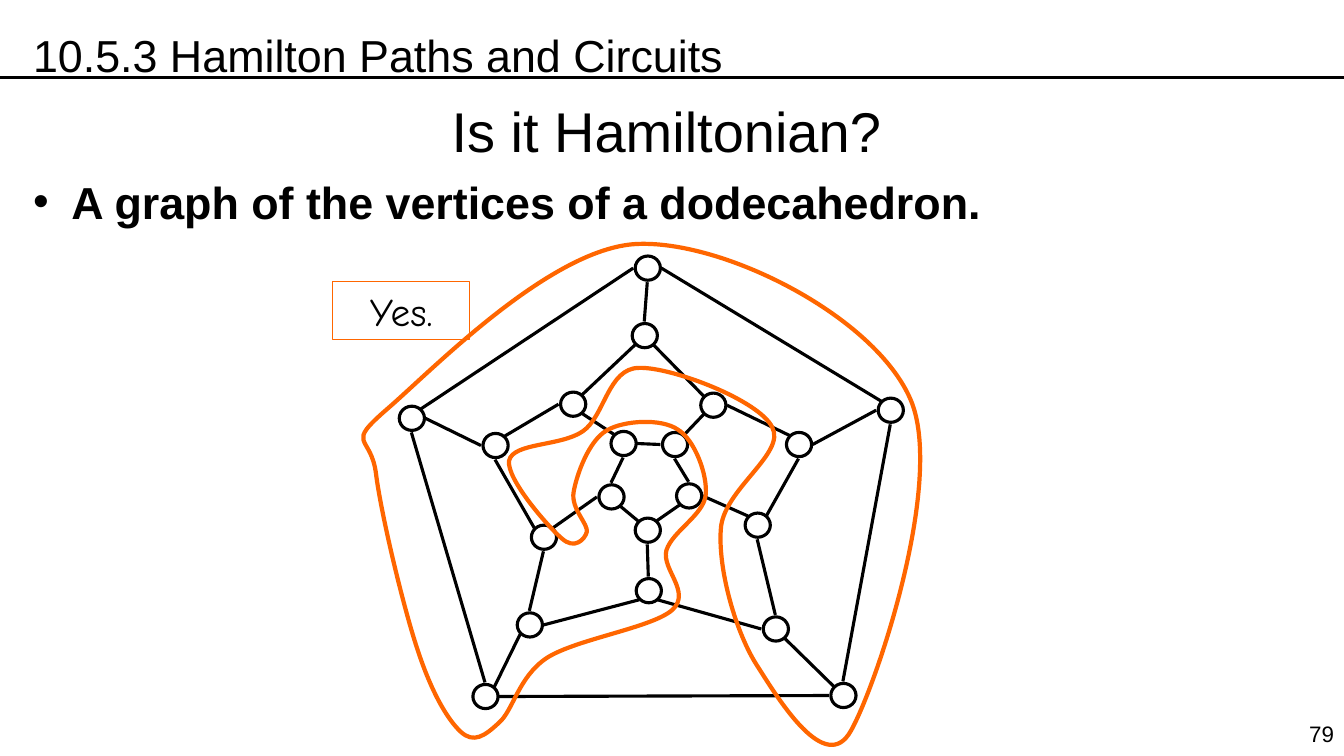
"""Builds the slide on Hamilton circuits of the dodecahedron graph."""
from dataclasses import dataclass

from lxml.etree import SubElement
from pptx import Presentation
from pptx.dml.color import RGBColor as Rgb
from pptx.enum.shapes import MSO_CONNECTOR as Connector, MSO_SHAPE as Preset
from pptx.enum.text import MSO_ANCHOR as Anchor, MSO_AUTO_SIZE as AutoSize, PP_ALIGN as Align
from pptx.oxml.ns import qn
from pptx.util import Emu, Pt

PX = 9144


@dataclass(frozen=True)
class Theme:
    """Colours, fonts, type sizes and line widths of the slide."""
    ink: Rgb = Rgb(0, 0, 0)
    accent: Rgb = Rgb(0xFF, 0x66, 0x00)
    font: str = "Arial"
    hand: str = "Comic Neue"
    title: int = 40
    body: int = 32
    answer: int = 28
    number: int = 16
    edge: float = 2.25
    circuit: float = 3
    frame: float = 1


THEME = Theme()

VERTICES = {
    "top": (400, 26), "left": (166, 175), "right": (641, 167),
    "low left": (239, 451), "low right": (594, 450),
    "m0": (397, 93), "m1": (465, 162), "m2": (550, 201), "m3": (509, 281), "m4": (527, 384),
    "m5": (401, 346), "m6": (283, 380), "m7": (297, 293), "m8": (249, 202), "m9": (326, 161),
    "i0": (376, 200), "i1": (427, 201), "i2": (441, 252), "i3": (400, 286), "i4": (364, 253),
}

EDGES = [
    ("left", "NE", "top", "W"), ("right", "NW", "top", "E"), ("left", "S", "low left", "N"),
    ("low right", "N", "right", "S"), ("low left", "E", "low right", "W"),
    ("m9", "NE", "m0", "SW"), ("m1", "NW", "m0", "SE"), ("m8", "NE", "m9", "W"),
    ("m2", "NW", "m1", "E"), ("m7", "NW", "m8", "S"), ("m3", "NE", "m2", "S"),
    ("m4", "N", "m3", "S"), ("m6", "N", "m7", "S"), ("m6", "E", "m5", "SW"),
    ("m4", "W", "m5", "SE"),
    ("m9", "SE", "i0", "NW"), ("m1", "SW", "i1", "NE"), ("m7", "NE", "i4", "W"),
    ("i3", "S", "m5", "N"), ("i2", "E", "m3", "NW"),
    ("i4", "N", "i0", "S"), ("i2", "N", "i1", "S"), ("i4", "SE", "i3", "NW"),
    ("i3", "NE", "i2", "SW"), ("i0", "E", "i1", "W"),
    ("low left", "NE", "m6", "SW"), ("left", "E", "m8", "W"), ("top", "S", "m0", "N"),
    ("low right", "NW", "m4", "SE"), ("m2", "E", "right", "W"),
]

CIRCUIT = [
    (155, 177), (199, 139), (319, 15), (405, 14), (492, 12), (638, 87), (673, 168),
    (708, 248), (639, 453), (614, 497), (589, 542), (543, 467), (522, 434),
    (500, 401), (482, 337), (485, 297), (487, 258), (550, 222), (536, 196),
    (523, 169), (436, 136), (404, 137), (373, 137), (370, 185), (348, 200),
    (326, 215), (279, 211), (275, 229), (272, 247), (314, 295), (327, 306),
    (340, 318), (350, 307), (352, 300), (354, 292), (336, 277), (339, 260),
    (342, 243), (354, 209), (372, 199), (389, 189), (426, 187), (442, 198),
    (459, 208), (472, 243), (470, 263), (468, 283), (437, 299), (431, 318),
    (426, 337), (456, 359), (437, 377), (417, 395), (341, 406), (312, 425),
    (284, 444), (279, 477), (265, 489), (251, 502), (240, 510), (227, 498),
    (214, 486), (198, 459), (184, 416), (170, 374), (148, 282), (143, 242),
    (138, 202), (111, 215), (155, 177),
]


def px(*lengths):
    """Turn px lengths into EMU."""
    return [Emu(round(length * PX)) for length in lengths]


def write(shape, text, size, font=THEME.font, bold=False, align=Align.LEFT,
          anchor=Anchor.TOP, wrap=True, side=10, bullet=None, indent=0):
    """Write one formatted paragraph into a shape."""
    frame = shape.text_frame
    frame.auto_size, frame.word_wrap = AutoSize.NONE, wrap
    frame.vertical_anchor = anchor
    frame.margin_left, frame.margin_top, frame.margin_right, frame.margin_bottom = px(side, 5, side, 5)
    paragraph = frame.paragraphs[0]
    paragraph.alignment = align
    if bullet:
        properties = paragraph._p.get_or_add_pPr()
        properties.set("marL", str(px(indent)[0]))
        properties.set("indent", str(-px(indent)[0]))
        SubElement(properties, qn("a:buFont"), typeface=font)
        SubElement(properties, qn("a:buChar"), char=bullet)
    run = paragraph.add_run()
    run.text = text
    run.font.size, run.font.name, run.font.bold = Pt(size), font, bold
    run.font.color.rgb = THEME.ink


def outline(shape, color, width):
    """Leave a shape unfilled and give it a plain line."""
    shape.shadow.inherit = False
    shape.fill.background()
    shape.line.color.rgb, shape.line.width = color, Pt(width)


def add_line(slide, start, end):
    """Draw a straight ink line between two px points."""
    line = slide.shapes.add_connector(Connector.STRAIGHT, *px(*start, *end))
    line.line.color.rgb, line.line.width = THEME.ink, Pt(THEME.edge)
    SubElement(line._element.spPr, qn("a:effectLst"))


def add_header(slide, left, top, width, height):
    """Place the section heading and its rule across the box."""
    add_line(slide, (left, top + 77), (left + width, top + 77))
    section = slide.shapes.add_textbox(*px(left + 23, top + 23, width - 23, height - 23))
    write(section, "10.5.3 Hamilton Paths and Circuits", THEME.body)


def add_question(slide, left, top, width, height):
    """Place the title and the bullet below it."""
    title = slide.shapes.title
    title.left, title.top, title.width, title.height = px(left + 415, top, 458, 77)
    write(title, "Is it Hamiltonian?", THEME.title)
    statement = slide.shapes.add_textbox(*px(left, top + 77, width, height - 77))
    write(statement, "A graph of the vertices of a dodecahedron.", THEME.body,
          bold=True, bullet="•", indent=38)


def add_graph(slide, left, top):
    """Draw the vertices of the dodecahedron and join them at compass points."""
    def site(vertex, compass):
        x, y = VERTICES[vertex]
        reach = 14 if len(compass) == 1 else 9
        across = ("E" in compass) - ("W" in compass)
        down = ("S" in compass) - ("N" in compass)
        return left + x + 12 + reach * across, top + y + 12 + reach * down

    for x, y in VERTICES.values():
        vertex = slide.shapes.add_shape(Preset.OVAL, *px(left + x, top + y, 25, 24))
        outline(vertex, THEME.ink, THEME.edge)
    for first, leaving, second, entering in EDGES:
        add_line(slide, site(first, leaving), site(second, entering))


def add_answer(slide, left, top):
    """Place the answer and the curve that follows the Hamilton circuit."""
    answer = slide.shapes.add_shape(Preset.RECTANGLE, *px(left + 100, top + 51, 136, 58))
    outline(answer, THEME.accent, THEME.frame)
    write(answer, "Yes.", THEME.answer, font=THEME.hand, align=Align.CENTER,
          anchor=Anchor.MIDDLE, wrap=False, side=30)

    start, *controls = [(left + x, top + y) for x, y in CIRCUIT]
    builder = slide.shapes.build_freeform(*start, scale=PX)
    builder.add_line_segments(controls, close=True)
    circuit = builder.convert_to_shape()
    outline(circuit, THEME.accent, THEME.circuit)
    steps = list(circuit._element.iter(qn("a:lnTo")))
    for first in range(0, len(controls), 3):
        curve = SubElement(steps[first].getparent(), qn("a:cubicBezTo"))
        steps[first].addprevious(curve)
        for step in steps[first:first + 3]:
            curve.append(step[0])
            step.getparent().remove(step)


def add_page_number(slide, left, top, width, height):
    """Place the page number at the right of its box."""
    number = slide.shapes.add_textbox(*px(left, top, width, height))
    write(number, "79", THEME.number, align=Align.RIGHT)


def main():
    """Build the slide and save it."""
    deck = Presentation()
    deck.slide_width, deck.slide_height = px(1333, 750)
    slide = deck.slides.add_slide(deck.slide_layouts[5])
    add_header(slide, 0, 0, 1333, 87)
    add_question(slide, 23, 91, 1300, 144)
    add_graph(slide, 230, 228)
    add_answer(slide, 230, 228)
    add_page_number(slide, 1270, 710, 63, 37)
    deck.save("out.pptx")


if __name__ == "__main__":
    main()
